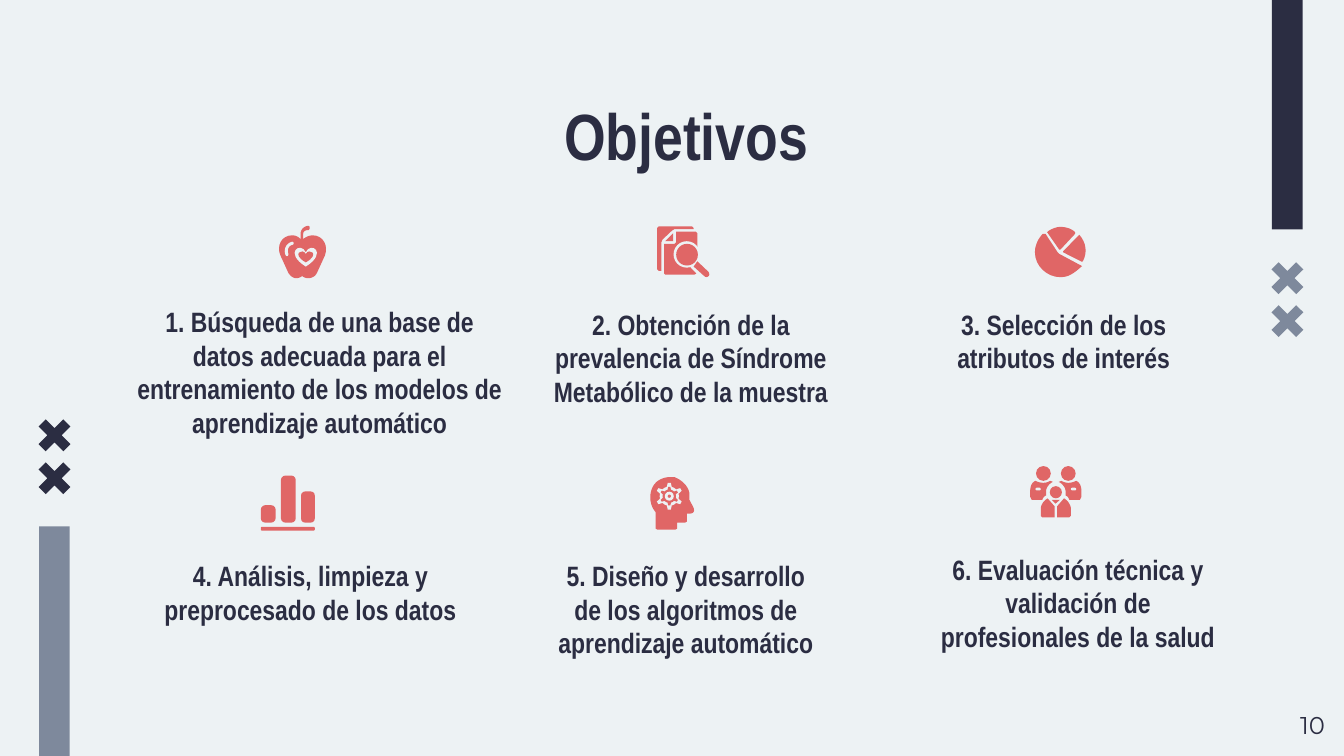
from pptx import Presentation
from pptx import util as u
from pptx.dml.color import RGBColor
from pptx.enum import shapes, text

Cm = u.Cm
Kind = shapes.MSO_SHAPE
NAVY, GREY, RED, PALE = "2B2D42", "7E899C", "E06666", "EDF2F4"


def paint(item, color):
    item.fill.solid()
    item.fill.fore_color.rgb = RGBColor.from_string(color)


def finish(shape, color):
    paint(shape, color)
    shape.line.fill.background()
    shape.shadow.inherit = False
    return shape


def put(slide, kind, x, y, w, h, color=RED, adj=None):
    shape = slide.shapes.add_shape(kind, Cm(x), Cm(y), Cm(w), Cm(h))
    if adj is not None:
        shape.adjustments[0] = adj
    return finish(shape, color)


def disc(slide, x, y, size, color=RED):
    put(slide, Kind.OVAL, x, y, size, size, color)


def trace(slide, x, y, steps, color=RED):
    """Fill an outline: a pair is a corner, six numbers are a cubic curve."""
    dots = [steps[0]]
    for step in steps[1:]:
        if len(step) == 2:
            dots.append(step)
            continue
        a, b, c, d = dots[-1], step[:2], step[2:4], step[4:]
        for t in (i / 8 for i in range(1, 9)):
            s = 1 - t
            dots.append(tuple(s**3 * a[k] + 3 * s * s * t * b[k]
                              + 3 * s * t * t * c[k] + t**3 * d[k] for k in (0, 1)))
    spots = [(Cm(x + p), Cm(y + q)) for p, q in dots]
    form = slide.shapes.build_freeform(*spots[0], scale=1.0)
    form.add_line_segments(spots[1:], close=True)
    finish(form.convert_to_shape(), color)


def flip(steps, width):
    return [tuple(width - v if i % 2 == 0 else v for i, v in enumerate(step))
            for step in steps]


def apple(slide, x, y):
    trace(slide, x, y, [
        (.46, .15), (.46, .25), (.41, .2, .36, .18, .3, .18),
        (.1, .18, 0, .38, .08, .56), (.23, .89), (.27, .95, .32, .99, .38, .99),
        (.42, .99, .46, .97, .49, .95), (.52, .97, .56, .99, .6, .99),
        (.68, .99, .74, .95, .77, .89), (.92, .56), (.99, .38, .89, .18, .69, .18),
        (.62, .18, .56, .21, .51, .25), (.51, .15), (.51, .1, .56, .08, .61, .08),
        (.64, .07, .64, 0, .61, 0), (.53, 0, .46, .07, .46, .15)])
    trace(slide, x, y, [
        (.3, .3), (.34, .3, .34, .36, .3, .36), (.23, .38, .2, .46, .23, .53),
        (.23, .58, .2, .58, .18, .56), (.13, .46, .18, .33, .3, .3)], PALE)
    put(slide, Kind.HEART, x + .35, y + .41, .42, .36, PALE)
    put(slide, Kind.HEART, x + .42, y + .48, .28, .21)


def search(slide, x, y):
    trace(slide, x, y, [
        (.03, 0), (0, .03), (0, .81), (.03, .84), (.08, .84), (.08, .3), (.1, .25),
        (.28, .08), (.33, .05), (.69, .05), (.69, .03), (.66, 0)])
    trace(slide, x, y, [(.3, .13), (.15, .28), (.3, .28)])
    trace(slide, x, y, [
        (.36, .1), (.36, .3), (.33, .33), (.13, .33), (.13, .89), (.15, .91),
        (.71, .91), (.74, .89), (.63, .78), (.76, .38), (.76, .13), (.73, .1)])
    disc(slide, x + .31, y + .28, .5, PALE)
    disc(slide, x + .36, y + .33, .41)
    trace(slide, x, y, [(.76, .66), (.69, .76), (.89, .94),
                        (.94, .99, 1.02, .93, .97, .86)])


def pie(slide, x, y):
    trace(slide, x, y, [
        (.15, .13), (.08, .2, 0, .33, 0, .48), (0, .74, .23, .95, .48, .95),
        (.53, .95, .61, .94, .66, .91), (.76, .86, .81, .81, .89, .74),
        (.46, .51), (.43, .48), (.2, .13)])
    trace(slide, x, y, [
        (.23, .1), (.46, .43), (.48, .43), (.76, .13), (.76, .1),
        (.69, .03, .58, 0, .48, 0), (.41, 0, .33, .03, .25, .08)])
    trace(slide, x, y, [(.84, .15), (.53, .46), (.53, .48), (.89, .66), (.91, .64),
                        (.99, .48, .97, .3, .84, .15)])


def bars(slide, x, y):
    for left, top, wide, high in ((0, .97, 1.02, .07), (0, .56, .28, .33),
                                  (.38, 0, .28, .89), (.76, .3, .26, .59)):
        put(slide, Kind.ROUNDED_RECTANGLE, x + left, y + top, wide, high, adj=.3)


def head(slide, x, y):
    trace(slide, x, y, [
        (.36, 0), (.28, 0, .2, .03, .13, .08), (.05, .15, 0, .25, 0, .38),
        (0, .48, .03, .58, .1, .66), (.1, .97), (.13, .99), (.48, .99), (.51, .97),
        (.51, .86), (.66, .86), (.69, .84), (.69, .69), (.74, .69),
        (.79, .69, .86, .67, .81, .56), (.74, .43), (.74, .3),
        (.71, .15, .58, .05, .46, 0)])
    for kind, size, color in ((Kind.GEAR_6, .52, PALE), (Kind.GEAR_6, .36, RED),
                              (Kind.OVAL, .17, PALE), (Kind.OVAL, .06, RED)):
        put(slide, kind, x + .36 - size / 2, y + .36 - size / 2, size, size, color)


def family(slide, x, y):
    adult = [(.1, .28), (.02, .31, 0, .41, 0, .48), (0, .58), (.03, .64), (.23, .64),
             (.25, .58, .28, .56, .3, .56), (.3, .48), (.3, .41, .36, .33, .43, .3),
             (.38, .28), (.3, .33, .2, .33, .1, .28)]
    child = [(.33, .61), (.25, .66, .2, .74, .2, .81), (.2, .94), (.23, .97),
             (.46, .97), (.46, .76)]
    for steps in (adult, child):
        trace(slide, x, y, steps)
        trace(slide, x, y, flip(steps, .97))
    for left in (.1, .77):
        put(slide, Kind.ROUNDED_RECTANGLE, x + left, y + .41, .1, .05, PALE, .5)
    for left, top, size in ((.11, 0, .28), (.58, 0, .28), (.37, .38, .23)):
        disc(slide, x + left, y + top, size)
    trace(slide, x, y, [(.41, .64), (.56, .64), (.48, .71)])


def label(slide, x, y, w, h, words, size, face="Arial Narrow", bold=True,
          align=text.PP_ALIGN.CENTER, indent=0):
    frame = slide.shapes.add_textbox(Cm(x), Cm(y), Cm(w), Cm(h)).text_frame
    frame.word_wrap = True
    frame.margin_left = Cm(.25 + indent)
    frame.margin_right = frame.margin_top = frame.margin_bottom = Cm(.25)
    para = frame.paragraphs[0]
    para.text, para.alignment = words, align
    para.font.name, para.font.size, para.font.bold = face, u.Pt(size), bold
    para.font.color.rgb = RGBColor.from_string(NAVY)


def edge(slide, x, bar_y, bar, cross_y, cross):
    """Side strip with two crosses beside its end."""
    put(slide, Kind.RECTANGLE, x + .04, bar_y, .58, 4.34, bar)
    for i in range(2):
        mark = put(slide, Kind.CROSS, x, cross_y + i * .81, .66, .66, cross, .356)
        mark.rotation = 45


def goal(slide, box, words, icon, spot):
    label(slide, *box, words, 15, indent=1.27)
    icon(slide, *spot)


GOALS = [
    ((.99, 5.51, 8.84, 2.82), "1. Búsqueda de una base de datos adecuada para el "
     "entrenamiento de los modelos de aprendizaje automático", apple, (5.22, 4.27)),
    ((8.69, 5.56, 7.47, 2.31), "2. Obtención de la prevalencia de Síndrome "
     "Metabólico de la muestra", search, (12.42, 4.28)),
    ((16.03, 5.56, 6.88, 1.5), "3. Selección de los atributos de interés",
     pie, (19.56, 4.29)),
    ((1.5, 10.31, 7.47, 2.16), "4. Análisis, limpieza y preprocesado de los datos",
     bars, (4.93, 8.99)),
    ((8.89, 10.31, 6.88, 2.16), "5. Diseño y desarrollo de los algoritmos de "
     "aprendizaje automático", head, (12.29, 9.02)),
    ((16.03, 10.19, 7.42, 2.31), "6. Evaluación técnica y validación de "
     "profesionales de la salud", family, (19.47, 8.81)),
]


def main():
    deck = Presentation()
    deck.slide_width, deck.slide_height = Cm(25.4), Cm(14.29)
    slide = deck.slides.add_slide(deck.slide_layouts[6])
    paint(slide.background, PALE)
    edge(slide, .7, 9.95, GREY, 7.9, NAVY)
    edge(slide, 24, 0, NAVY, 4.93, GREY)
    label(slide, 10.41, 1.55, 5.61, 1.73, "Objetivos", 35, align=text.PP_ALIGN.LEFT)
    for item in GOALS:
        goal(slide, *item)
    label(slide, 23.77, 13.18, 1.52, 1.09, "10", 13, "Montserrat", False,
          text.PP_ALIGN.RIGHT)
    deck.save("out.pptx")


if __name__ == "__main__":
    main()
